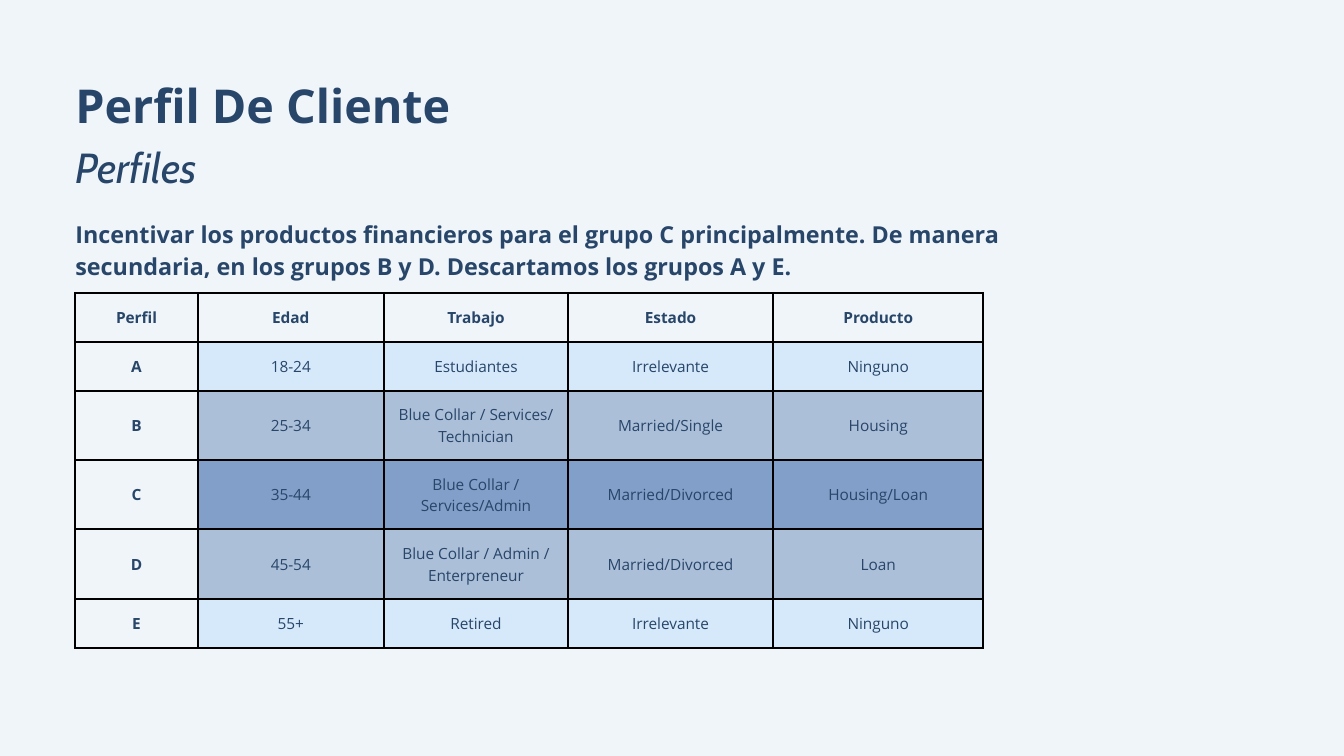
from lxml.etree import SubElement
from pptx import Presentation
from pptx.dml.color import RGBColor
from pptx.enum.text import MSO_ANCHOR, PP_ALIGN
from pptx.oxml.ns import qn
from pptx.util import Cm, Pt

HUES = {
    "back": "F0F5FA",
    "ink": "284669",
    "line": "000000",
    "low": "D5E9FB",
    "mid": "ACBFD9",
    "high": "819FC8",
}

# Text formats: font values and line pitch
TITLE = {"font": {"name": "Open Sans", "size": Pt(50), "bold": True}, "pitch": Pt(70)}
SUB = {"font": {"name": "Cabin", "size": Pt(45), "italic": True}, "pitch": Pt(63)}
LEAD = {"font": {"name": "Open Sans", "size": Pt(25), "bold": True}, "pitch": Pt(35)}
HEAD = {"font": {"name": "Open Sans", "size": Pt(16.5), "bold": True}, "pitch": Pt(23.1)}
BODY = {"font": {"name": "Open Sans", "size": Pt(16.5), "bold": False}, "pitch": Pt(23.1)}

LEFT = Cm(2.85)
COLS = [4.62, 7.04, 6.96, 7.75, 7.95]
SHORT, TALL = 1.85, 2.62
PAD = Cm(0.48)
EDGE = Pt(2.5)

# Each row: shade, height, texts
ROWS = [
    (None, SHORT, ["Perfil", "Edad", "Trabajo", "Estado", "Producto"]),
    ("low", SHORT, ["A", "18-24", "Estudiantes", "Irrelevante", "Ninguno"]),
    ("mid", TALL, ["B", "25-34", "Blue Collar / Services/ Technician",
                   "Married/Single", "Housing"]),
    ("high", TALL, ["C", "35-44", "Blue Collar / Services/Admin",
                    "Married/Divorced", "Housing/Loan"]),
    ("mid", TALL, ["D", "45-54", "Blue Collar / Admin / Enterpreneur",
                   "Married/Divorced", "Loan"]),
    ("low", SHORT, ["E", "55+", "Retired", "Irrelevante", "Ninguno"]),
]


def paint(fill, hue):
    fill.solid()
    fill.fore_color.rgb = RGBColor.from_string(HUES[hue])


def apply(item, vals):
    for key, val in vals.items():
        setattr(item, key, val)


def write(para, text, form, align=PP_ALIGN.LEFT):
    apply(para, {"alignment": align, "line_spacing": form["pitch"]})
    run = para.add_run()
    run.text = text
    apply(run.font, form["font"])
    run.font.color.rgb = RGBColor.from_string(HUES["ink"])


def add_text(slide, top, width, height, parts):
    box = slide.shapes.add_textbox(LEFT, Cm(top), Cm(width), Cm(height))
    frame = box.text_frame
    apply(frame, {"word_wrap": True, "margin_left": 0, "margin_top": 0,
                  "margin_right": 0, "margin_bottom": 0})
    for i, (text, form) in enumerate(parts):
        para = frame.add_paragraph() if i else frame.paragraphs[0]
        write(para, text, form)


def add_edges(cell):
    props = cell._tc.get_or_add_tcPr()
    for side in ("a:lnL", "a:lnR", "a:lnT", "a:lnB"):
        line = SubElement(props, qn(side), w=str(EDGE))
        fill = SubElement(line, qn("a:solidFill"))
        SubElement(fill, qn("a:srgbClr"), val=HUES["line"])


def fill_cell(cell, text, shade, form):
    add_edges(cell)
    apply(cell, {"vertical_anchor": MSO_ANCHOR.MIDDLE, "margin_left": PAD,
                 "margin_top": PAD, "margin_right": PAD, "margin_bottom": PAD})
    if shade:
        paint(cell.fill, shade)
    else:
        cell.fill.background()
    write(cell.text_frame.paragraphs[0], text, form, PP_ALIGN.CENTER)


def add_grid(slide, top):
    high = sum(row[1] for row in ROWS)
    grid = slide.shapes.add_table(len(ROWS), len(COLS), LEFT, Cm(top),
                                  Cm(sum(COLS)), Cm(high)).table
    apply(grid, {"first_row": False, "horz_banding": False})
    for col, width in zip(grid.columns, COLS):
        col.width = Cm(width)
    for r, (shade, height, texts) in enumerate(ROWS):
        grid.rows[r].height = Cm(height)
        for c, text in enumerate(texts):
            # The top row and first column are bold and have no shade
            label = r == 0 or c == 0
            fill_cell(grid.cell(r, c), text, None if label else shade,
                      HEAD if label else BODY)


def main():
    deck = Presentation()
    apply(deck, {"slide_width": Cm(50.8), "slide_height": Cm(28.58)})
    slide = deck.slides.add_slide(deck.slide_layouts[6])
    paint(slide.background.fill, "back")

    # Profile table
    add_grid(slide, 11.07)

    # Headings
    add_text(slide, 2.57, 45.08, 4.65,
             [("Perfil De Cliente", TITLE), ("Perfiles", SUB)])

    # Key message
    add_text(slide, 8.13, 39.62, 2.39,
             [("Incentivar los productos financieros para el grupo C "
               "principalmente. De manera secundaria, en los grupos B y D. "
               "Descartamos los grupos A y E.", LEAD)])

    deck.save("out.pptx")


if __name__ == "__main__":
    main()
